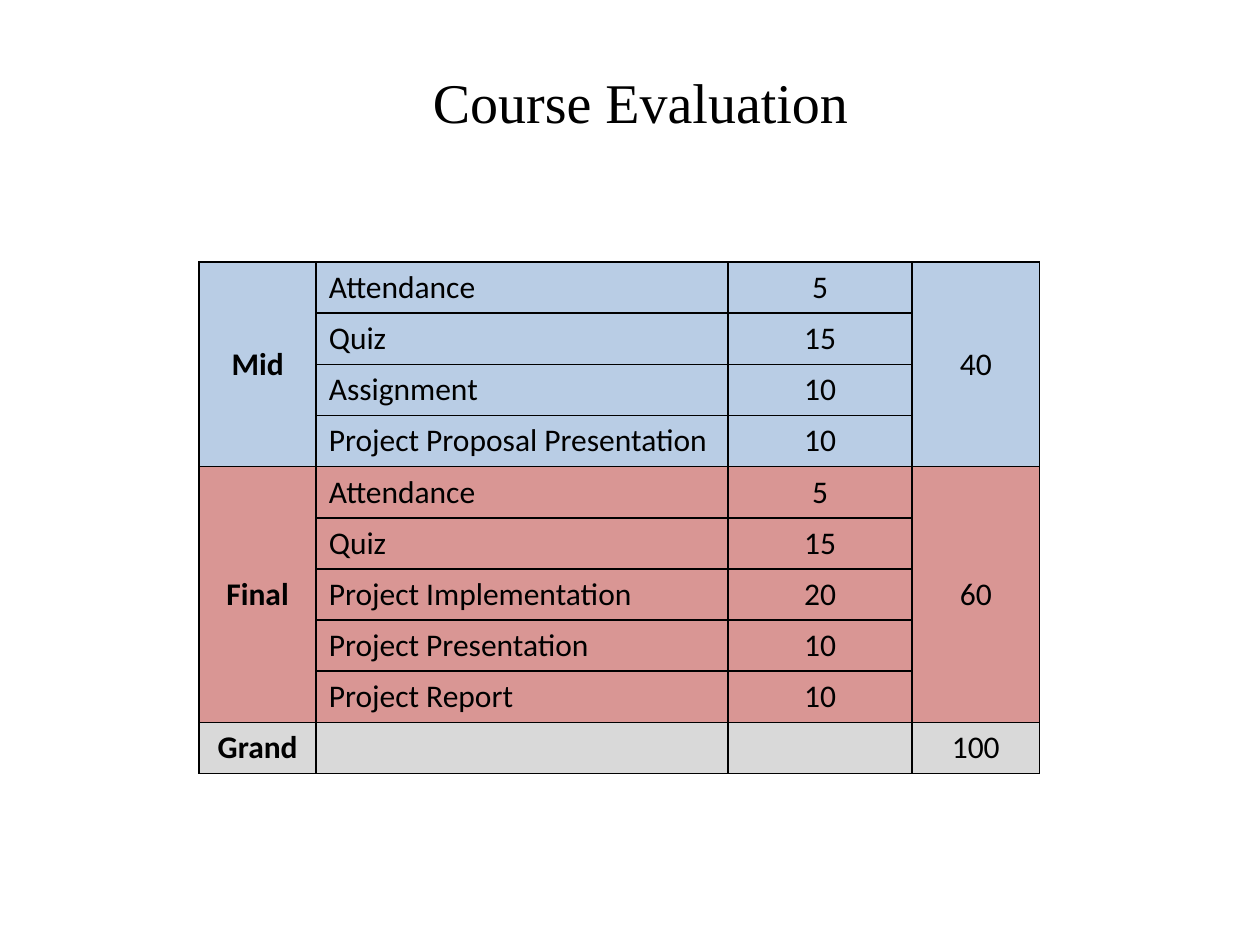
"""Build the course evaluation slide with its marks table."""
import dataclasses

import lxml.etree
import pptx
import pptx.dml.color
import pptx.enum.text
import pptx.oxml.ns
import pptx.util

Inches = pptx.util.Inches
Align = pptx.enum.text.PP_ALIGN

COLOURS = {
    "text": "000000",
    "border": "000000",
    "mid": "B9CDE5",
    "final": "D99694",
    "grand": "D9D9D9",
}
COLUMN_WIDTHS = (0.93, 3.27, 1.46, 1.01)
TABLE_LEFT, TABLE_TOP, TABLE_HEIGHT = 1.58, 2.08, 4.06


@dataclasses.dataclass(frozen=True)
class Section:
    """A block of rows sharing one label, one total and one colour."""

    label: str
    colour: str
    total: int
    items: tuple[tuple[str, str], ...]


SECTIONS = (
    Section("Mid", "mid", 40, (
        ("Attendance", "5"),
        ("Quiz", "15"),
        ("Assignment", "10"),
        ("Project Proposal Presentation", "10"),
    )),
    Section("Final", "final", 60, (
        ("Attendance", "5"),
        ("Quiz", "15"),
        ("Project Implementation", "20"),
        ("Project Presentation", "10"),
        ("Project Report", "10"),
    )),
    Section("Grand", "grand", 100, (("", ""),)),
)


def colour_of(name: str) -> pptx.dml.color.RGBColor:
    """Return the named colour."""
    return pptx.dml.color.RGBColor.from_string(COLOURS[name])


def write_text(text_frame, text: str, *, size: float = 18, font: str = "Calibri",
               bold: bool = False, align: Align = Align.CENTER) -> None:
    """Write one formatted paragraph into a text frame."""
    paragraph = text_frame.paragraphs[0]
    paragraph.alignment = align
    paragraph.font.size = pptx.util.Pt(size)
    if text:
        run = paragraph.add_run()
        run.text = text
        run.font.name = font
        run.font.size = pptx.util.Pt(size)
        run.font.bold = bold
        run.font.color.rgb = colour_of("text")


def draw_borders(cell) -> None:
    """Give a cell a one-point line on each side."""
    properties = cell._tc.get_or_add_tcPr()
    for index, side in enumerate(("lnL", "lnR", "lnT", "lnB")):
        line = lxml.etree.Element(pptx.oxml.ns.qn(f"a:{side}"), w=str(pptx.util.Pt(1)))
        fill = lxml.etree.SubElement(line, pptx.oxml.ns.qn("a:solidFill"))
        lxml.etree.SubElement(fill, pptx.oxml.ns.qn("a:srgbClr"), val=COLOURS["border"])
        properties.insert(index, line)


def draw_section(table, first_row: int, section: Section) -> int:
    """Fill the rows of a section and return the row after it."""
    next_row = first_row + len(section.items)
    for row, (item, marks) in enumerate(section.items, first_row):
        for column in range(len(COLUMN_WIDTHS)):
            cell = table.cell(row, column)
            cell.fill.solid()
            cell.fill.fore_color.rgb = colour_of(section.colour)
            cell.vertical_anchor = pptx.enum.text.MSO_ANCHOR.MIDDLE
            draw_borders(cell)
        write_text(table.cell(row, 1).text_frame, item, align=Align.LEFT)
        write_text(table.cell(row, 2).text_frame, marks)
    for column, text, bold in ((0, section.label, True), (3, str(section.total), False)):
        cell = table.cell(first_row, column)
        if len(section.items) > 1:
            cell.merge(table.cell(next_row - 1, column))
        write_text(cell.text_frame, text, bold=bold)
    return next_row


def draw_table(slide) -> None:
    """Draw the marks table."""
    row_count = sum(len(section.items) for section in SECTIONS)
    table = slide.shapes.add_table(
        row_count, len(COLUMN_WIDTHS), Inches(TABLE_LEFT), Inches(TABLE_TOP),
        Inches(sum(COLUMN_WIDTHS)), Inches(TABLE_HEIGHT)).table
    table.first_row = False
    table.horz_banding = False
    for column, width in zip(table.columns, COLUMN_WIDTHS):
        column.width = Inches(width)
    row = 0
    for section in SECTIONS:
        row = draw_section(table, row, section)


def draw_title(slide) -> None:
    """Draw the slide title."""
    title = slide.shapes.add_textbox(Inches(1.75), Inches(0.42), Inches(6.67), Inches(0.77))
    title.text_frame.word_wrap = True
    title.text_frame.vertical_anchor = pptx.enum.text.MSO_ANCHOR.MIDDLE
    write_text(title.text_frame, "Course Evaluation", size=32, font="Times New Roman")


def main() -> None:
    """Build and save the presentation."""
    presentation = pptx.Presentation()
    presentation.slide_width = Inches(10)
    presentation.slide_height = Inches(7.5)
    slide = presentation.slides.add_slide(presentation.slide_layouts[6])
    draw_title(slide)
    draw_table(slide)
    presentation.save("out.pptx")


if __name__ == "__main__":
    main()
